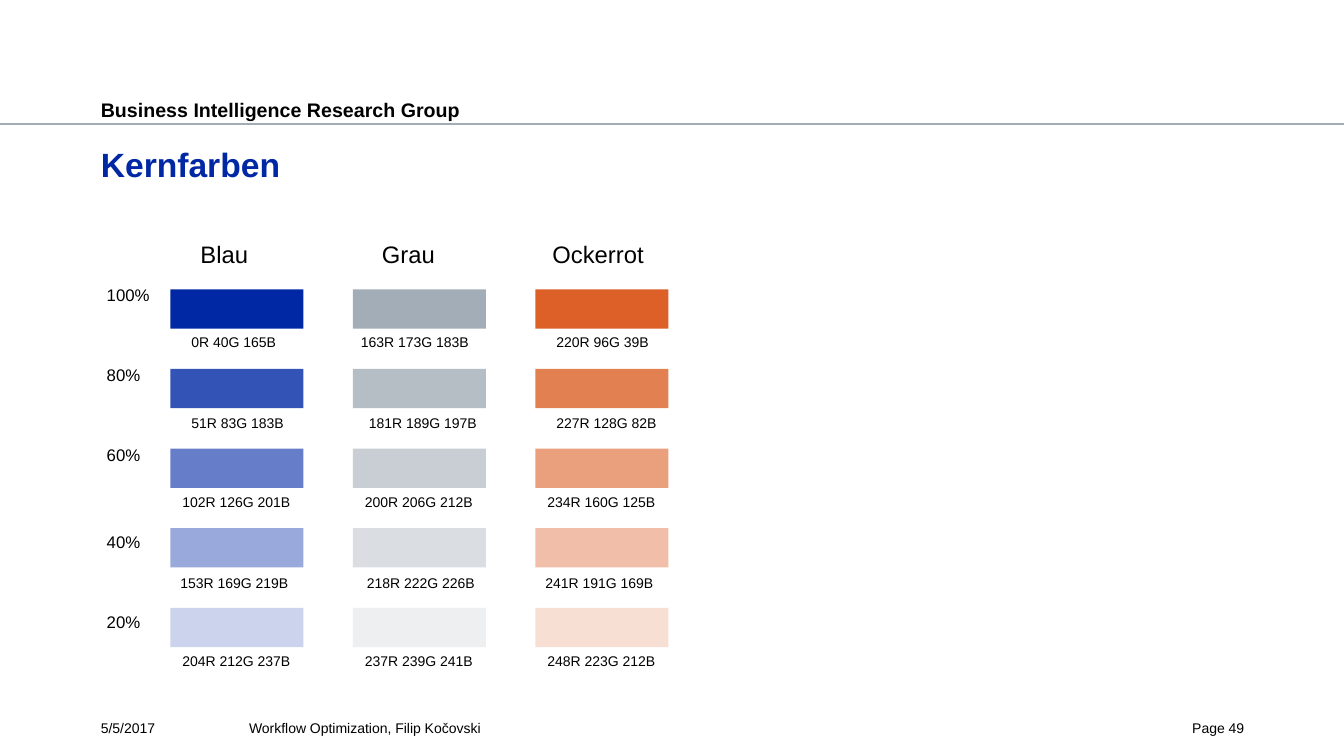
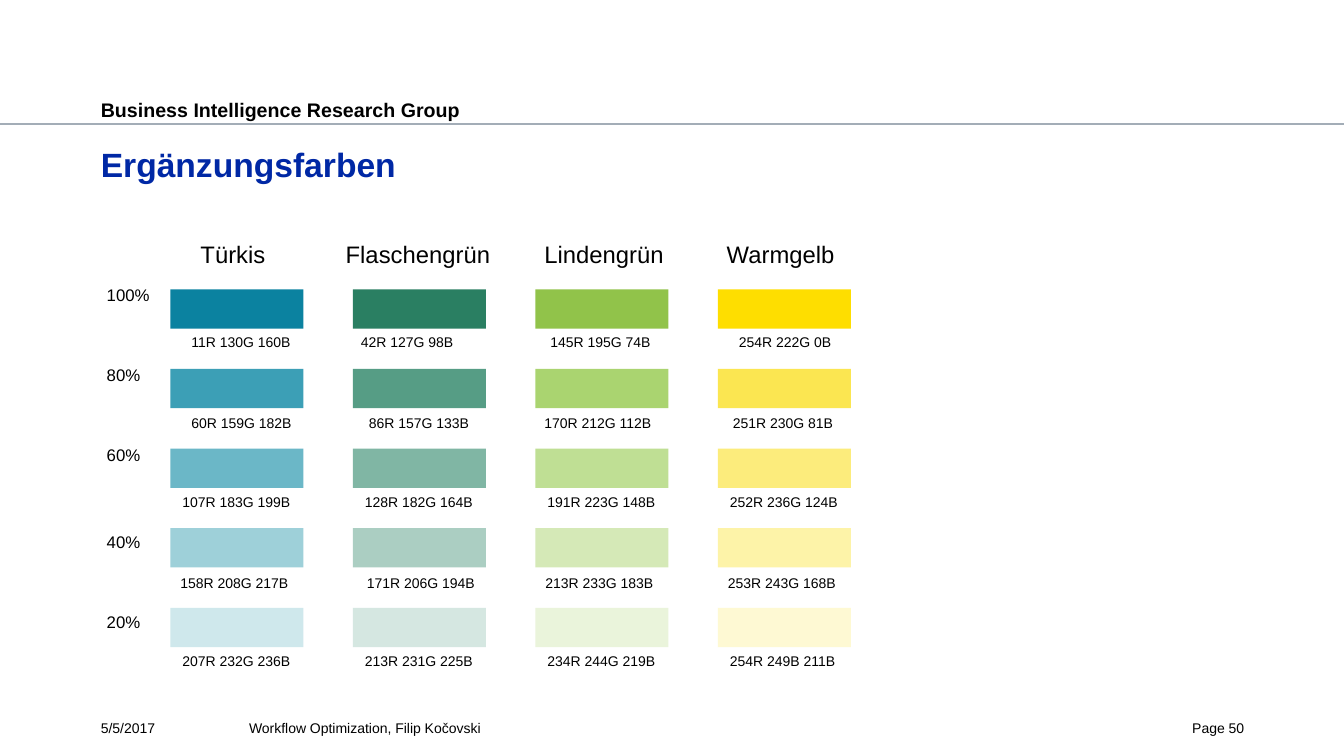
from dataclasses import dataclass

from lxml import etree
from pptx import Presentation
from pptx.dml.color import RGBColor
from pptx.enum import shapes, text
from pptx.oxml import ns
from pptx.slide import Slide
from pptx.util import Inches, Pt

# Shared style
FONT = "Arial"
BLACK = RGBColor(0, 0, 0)
TITLE_BLUE = RGBColor(0, 40, 165)
RULE_GREY = RGBColor(163, 173, 183)
BOX_INSETS = (0.1, 0.05, 0.1, 0.05)
HEADER_INSETS = (0, 0.04, 0, 0)
NO_INSETS = (0, 0, 0, 0)

# Swatch grid, in inches
GRID_LEFT, GRID_TOP = 1.69, 2.87
COLUMN_STEP, ROW_STEP = 1.81, 0.79
SWATCH_WIDTH, SWATCH_HEIGHT = 1.32, 0.39
STRENGTHS = ("100%", "80%", "60%", "40%", "20%")
STRENGTH_TOPS = (2.78, 3.57, 4.36, 5.23, 6.02)
CAPTION_TOPS = (3.26, 4.06, 4.85, 5.65, 6.42)


@dataclass(frozen=True)
class Tint:
    color: RGBColor
    caption: str = ""

    def label(self) -> str:
        red, green, blue = self.color
        return self.caption or f"{red}R {green}G {blue}B"


@dataclass(frozen=True)
class ColorColumn:
    name: str
    name_indent: float
    tints: tuple[Tint, ...]
    caption_indents: tuple[float, ...] = (0.11, 0.11, 0.02, 0, 0.02)


@dataclass(frozen=True)
class Palette:
    title: str
    page: int
    columns: tuple[ColorColumn, ...]


def tints(*hex_codes: str) -> tuple[Tint, ...]:
    return tuple(Tint(RGBColor.from_string(code)) for code in hex_codes)


GREY_INDENTS = (-0.02, 0.06, 0.02, 0.04, 0.02)
PALETTES = (
    Palette("Kernfarben", 49, (
        ColorColumn("Blau", 0.2, tints("0028A5", "3353B7", "667EC9", "99A9DB", "CCD4ED")),
        ColorColumn("Grau", 0.19, tints("A3ADB7", "B5BDC5", "C8CED4", "DADEE2", "EDEFF1"),
                    GREY_INDENTS),
        ColorColumn("Ockerrot", 0.07, tints("DC6027", "E38052", "EAA07D", "F1BFA9", "F8DFD4")),
    )),
    Palette("Ergänzungsfarben", 50, (
        ColorColumn("Türkis", 0.2, tints("0B82A0", "3C9FB6", "6BB7C7", "9ED0D9", "CFE8EC")),
        ColorColumn("Flaschengrün", -0.17, tints("2A7F62", "569D85", "80B6A4", "ABCEC2", "D5E7E1"),
                    GREY_INDENTS),
        ColorColumn("Lindengrün", -0.01, tints("91C34A", "AAD470", "BFDF94", "D5E9B7", "EAF4DB"),
                    (0.05, -0.01, 0.02, 0, 0.02)),
        ColorColumn("Warmgelb", -0.01,
                    tints("FEDE00", "FBE651", "FCEC7C", "FDF3A8")
                    + (Tint(RGBColor(254, 249, 211), "254R 249B 211B"),),
                    (0.11, 0.05, 0.02, 0, 0.02)),
    )),
)


def add_text(slide: Slide, content: str, left: float, top: float, width: float, height: float,
             size: float, insets: tuple[float, ...] = BOX_INSETS, color: RGBColor = BLACK,
             bold: bool = False, align: text.PP_ALIGN = text.PP_ALIGN.LEFT) -> None:
    box = slide.shapes.add_textbox(Inches(left), Inches(top), Inches(width), Inches(height))
    frame = box.text_frame
    frame.word_wrap = True
    (frame.margin_left, frame.margin_top,
     frame.margin_right, frame.margin_bottom) = map(Inches, insets)
    frame.text = content
    paragraph = frame.paragraphs[0]
    paragraph.alignment = align
    font = paragraph.runs[0].font
    font.name, font.size, font.bold = FONT, Pt(size), bold
    font.color.rgb = color


def add_frame(slide: Slide, palette: Palette) -> None:
    # Header rule, group name and title
    rule = slide.shapes.add_connector(shapes.MSO_CONNECTOR.STRAIGHT, Inches(0), Inches(1.23),
                                      Inches(13.33), Inches(1.23))
    rule.line.color.rgb = RULE_GREY
    rule.line.width = Pt(1.25)
    etree.SubElement(rule._element.spPr, ns.qn("a:effectLst"))
    add_text(slide, "Business Intelligence Research Group", 1, 0.93, 8.02, 0.25, 14,
             HEADER_INSETS, bold=True)
    add_text(slide, palette.title, 1, 1.39, 11.34, 0.87, 24, HEADER_INSETS, TITLE_BLUE, True)

    # Footer
    add_text(slide, "5/5/2017", 1, 7.14, 1.36, 0.24, 10, NO_INSETS)
    add_text(slide, "Workflow Optimization, Filip Kočovski", 2.47, 7.14, 7.66, 0.24, 10, NO_INSETS)
    add_text(slide, f"Page {palette.page}", 11.43, 7.14, 0.91, 0.24, 10, NO_INSETS,
             align=text.PP_ALIGN.RIGHT)


def add_swatch(slide: Slide, left: float, top: float, color: RGBColor) -> None:
    swatch = slide.shapes.add_shape(shapes.MSO_SHAPE.RECTANGLE, Inches(left), Inches(top),
                                    Inches(SWATCH_WIDTH), Inches(SWATCH_HEIGHT))
    swatch.shadow.inherit = False
    swatch.fill.solid()
    swatch.fill.fore_color.rgb = color
    swatch.line.fill.background()


def add_column(slide: Slide, column: ColorColumn, left: float) -> None:
    add_text(slide, column.name, left + column.name_indent, 2.33, 1.7, 0.39, 17)
    rows = zip(column.tints, column.caption_indents, CAPTION_TOPS)
    for row, (tint, indent, caption_top) in enumerate(rows):
        add_swatch(slide, left, GRID_TOP + row * ROW_STEP, tint.color)
        add_text(slide, tint.label(), left + indent, caption_top, 1.35, 0.27, 10)


def build_slide(presentation: Presentation, palette: Palette) -> None:
    slide = presentation.slides.add_slide(presentation.slide_layouts[6])
    add_frame(slide, palette)
    for strength, top in zip(STRENGTHS, STRENGTH_TOPS):
        add_text(slide, strength, 0.96, top, 0.68, 0.3, 12)
    for index, column in enumerate(palette.columns):
        add_column(slide, column, GRID_LEFT + index * COLUMN_STEP)


def main() -> None:
    presentation = Presentation()
    presentation.slide_width = Inches(13.33)
    presentation.slide_height = Inches(7.5)
    for palette in PALETTES:
        build_slide(presentation, palette)
    presentation.save("out.pptx")


if __name__ == "__main__":
    main()
